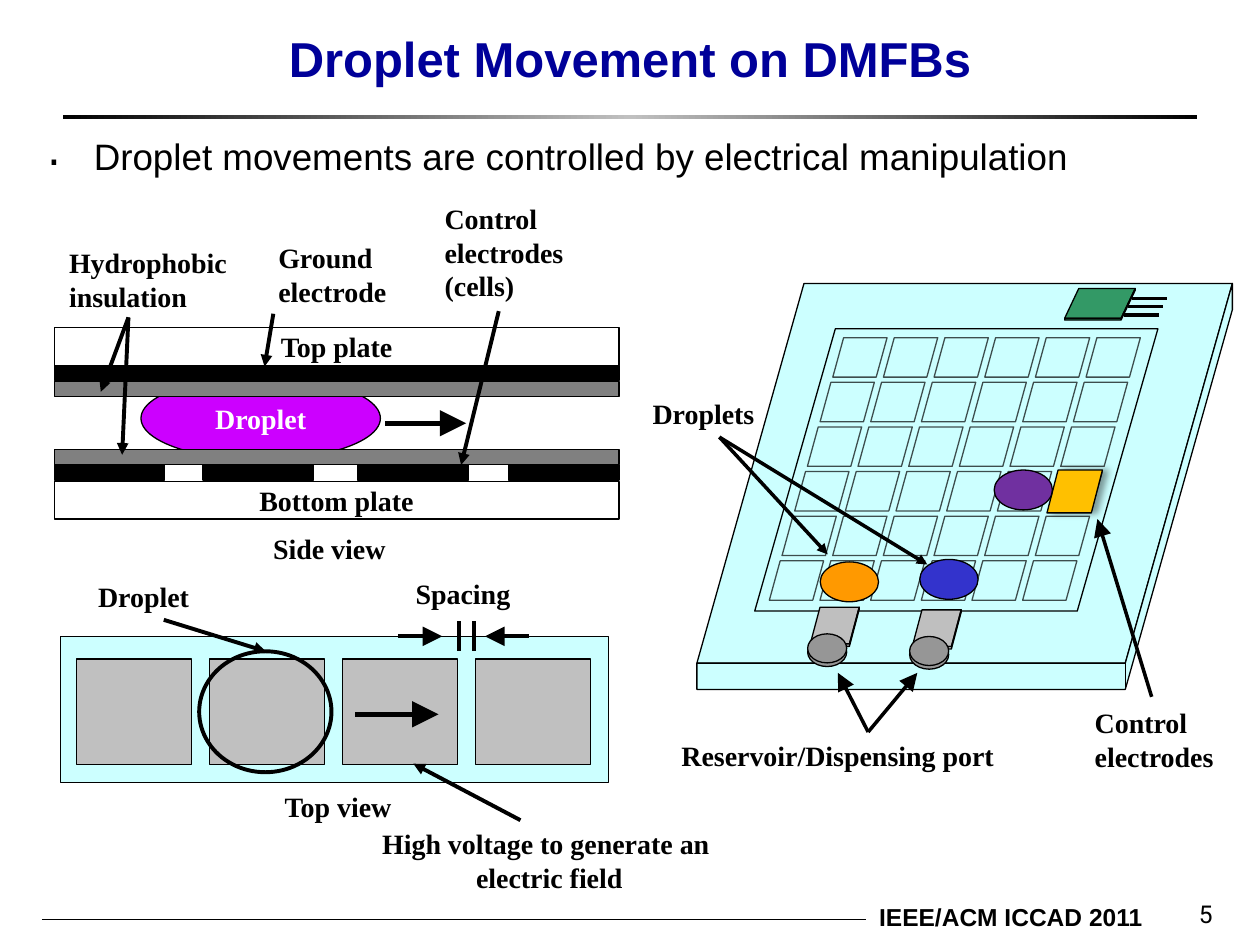
from copy import deepcopy

from lxml import etree
from pptx import Presentation
from pptx.dml.color import RGBColor
from pptx.enum.shapes import MSO_CONNECTOR, MSO_SHAPE as SHAPE
from pptx.enum.text import MSO_ANCHOR as ANCHOR, PP_ALIGN as ALIGN
from pptx.oxml import parse_xml
from pptx.oxml.ns import nsdecls, qn
from pptx.util import Pt

BLACK, WHITE, AQUA, SILVER, GRAY = "000000", "FFFFFF", "CCFFFF", "C0C0C0", "808080"
SLANTED = SHAPE.FLOWCHART_DATA


def color(hex_code):
    return RGBColor.from_string(hex_code)


def set_text(frame, text, size=16, font="Times New Roman", ink=BLACK, bold=True,
             align=ALIGN.LEFT, anchor=ANCHOR.TOP, wrap=True):
    frame.text = text
    frame.word_wrap = wrap
    frame.vertical_anchor = anchor
    for paragraph in frame.paragraphs:
        paragraph.alignment = align
        for run in paragraph.runs:
            run.font.size, run.font.name, run.font.bold = Pt(size), font, bold
            run.font.color.rgb = color(ink)


def add_label(slide, text, x, y, width, height=26.6, **style):
    label = slide.shapes.add_textbox(Pt(x), Pt(y), Pt(width), Pt(height))
    set_text(label.text_frame, text, **style)
    return label


def paint(shape, fill, line=0.75, alpha=None):
    shape.shadow.inherit = False
    if fill:
        shape.fill.solid()
        shape.fill.fore_color.rgb = color(fill)
    else:
        shape.fill.background()
    if alpha:
        srgb = shape._element.spPr.find(qn("a:solidFill"))[0]
        etree.SubElement(srgb, qn("a:alpha"), val=str(alpha * 1000))
    shape.line.color.rgb = color(BLACK)
    shape.line.width = Pt(line)


def add_part(slide, kind, x, y, width, height, fill=None, text=None, ink=BLACK, **look):
    part = slide.shapes.add_shape(kind, Pt(x), Pt(y), Pt(width), Pt(height))
    paint(part, fill, **look)
    if text:
        set_text(part.text_frame, text, ink=ink, align=ALIGN.CENTER,
                 anchor=ANCHOR.MIDDLE, wrap=False)
    return part


def add_line(slide, x1, y1, x2, y2, width=2.25, head=None):
    """Straight line; head is the size of an arrowhead at its end: med or lg."""
    line = slide.shapes.add_connector(MSO_CONNECTOR.STRAIGHT, Pt(x1), Pt(y1), Pt(x2), Pt(y2))
    line.line.color.rgb = color(BLACK)
    line.line.width = Pt(width)
    if head:
        etree.SubElement(line.line._get_or_add_ln(), qn("a:tailEnd"),
                         type="triangle", w=head, len=head)
    etree.SubElement(line._element.spPr, qn("a:effectLst"))


def add_slab(slide, x, y, width, height, depth, fill):
    """Slanted plate with a visible front and right edge."""
    add_part(slide, SLANTED, x, y, width, height, fill)
    corner = x + 0.8 * width
    base = y + height
    outline = [(x + width, y), (x + width, y + depth), (corner, base + depth),
               (x, base + depth), (x, base), (corner, base)]
    points = [(Pt(px), Pt(py)) for px, py in outline]
    builder = slide.shapes.build_freeform(*points[0])
    builder.add_line_segments(points[1:], close=True)
    paint(builder.convert_to_shape(), fill)
    add_line(slide, corner, base, corner, base + depth, 0.75)


def add_header(slide, x, y, width):
    title = slide.shapes.title
    title.left, title.top, title.width, title.height = Pt(x + 18), Pt(y), Pt(width - 36), Pt(66)
    set_text(title.text_frame, "Droplet Movement on DMFBs", 28, "Arial", "000099",
             align=ALIGN.CENTER, anchor=ANCHOR.MIDDLE)
    rule = add_part(slide, SHAPE.RECTANGLE, x, y + 66, width, 2.2)
    rule.line.fill.background()
    rule.fill.gradient()
    rule.fill.gradient_angle = 0
    stop_list = rule._element.spPr.find(qn("a:gradFill")).find(qn("a:gsLst"))
    stop_list.append(deepcopy(stop_list[-1]))
    for stop, position, shade in zip(rule.fill.gradient_stops, (0, 0.5, 1), (BLACK, SILVER, BLACK)):
        stop.position = position
        stop.color.rgb = color(shade)


def add_statement(slide, x, y, width, height):
    statement = add_label(slide, "Droplet movements are controlled by electrical manipulation",
                          x, y, width, height, size=21, font="Arial", bold=False)
    paragraph = statement.text_frame.paragraphs[0]
    paragraph.space_before = Pt(4.2)
    properties = paragraph._p.get_or_add_pPr()
    properties.set("marL", str(Pt(27)))
    properties.set("indent", str(-Pt(27)))
    bullet_color = etree.SubElement(properties, qn("a:buClr"))
    etree.SubElement(bullet_color, qn("a:srgbClr"), val=BLACK)
    etree.SubElement(properties, qn("a:buSzPct"), val="120000")
    etree.SubElement(properties, qn("a:buChar"), char="․")


def add_side_view(slide, x, y, width):
    layers = [(75.6, 21.6, None, "Top plate"), (97.2, 8.6, BLACK, None),
              (106.4, 8.6, GRAY, None), (145.4, 8.6, GRAY, None),
              (163.4, 21.6, None, "Bottom plate")]
    add_part(slide, SHAPE.OVAL, x + 49.6, y + 103.7, 136.8, 47.5, "CC00FF", "Droplet", WHITE)
    for top, height, fill, text in layers:
        add_part(slide, SHAPE.RECTANGLE, x, y + top, width, height, fill, text)
    for left in (0, 85, 173.5, 259.5):
        add_part(slide, SHAPE.RECTANGLE, x + left, y + 154.1, 63.2, 8.6, BLACK)
    for text, left, top, label_width, height in [
            ("Hydrophobic insulation", 1.4, 25.2, 134.6, 46),
            ("Ground \velectrode", 121, 22.3, 90.7, 46),
            ("Control \velectrodes (cells)", 216, 0, 105, 65.5),
            ("Side view", 118, 188.6, 113, 26.6)]:
        add_label(slide, text, x + left, y + top, label_width, height)
    for x1, y1, x2, y2 in [(125.2, 67.7, 120.2, 97.9), (254, 66.2, 232.5, 154.1),
                           (42.4, 69.8, 38.8, 148.3), (42.4, 69.8, 26.6, 112.3)]:
        add_line(slide, x + x1, y + y1, x + x2, y + y2, head="med")
    add_line(slide, x + 189.3, y + 130.3, x + 235.4, y + 130.3, 3, "lg")


def add_top_view(slide, x, y, width):
    plate_top = y + 37.4
    add_part(slide, SHAPE.RECTANGLE, x, plate_top, width, 83.5, AQUA)
    for column in range(4):
        add_part(slide, SHAPE.RECTANGLE, x + 9.3 + 76 * column, y + 50.4, 65.5, 60.5, SILVER)
    add_line(slide, x + 168.4, y + 82, x + 216, y + 82, 3, "lg")
    add_part(slide, SHAPE.OVAL, x + 79.2, y + 46, 75.6, 69.1, line=2.25)
    for edge, arrow_start, arrow_end in [(227.5, 192.9, 218.1), (236.1, 267.8, 242.6)]:
        add_line(slide, x + edge, y + 28.8, x + edge, y + 46)
        add_line(slide, x + arrow_start, plate_top, x + arrow_end, plate_top, head="lg")
    add_line(slide, x + 59, y + 28, x + 117.3, y + 46, head="med")
    add_line(slide, x + 262.8, y + 142.5, x + 201.6, y + 110.2, head="med")
    add_label(slide, "Droplet", x + 14.4, y + 1.4, 89)
    add_label(slide, "Spacing", x + 195.8, y, 106)
    add_label(slide, "Top view", x + 121, y + 121.6, 113)
    add_label(slide, "High voltage to generate an \velectric field",
              x + 155.5, y + 142.5, 247.7, 46, align=ALIGN.CENTER)


def add_biochip(slide, x, y):
    add_slab(slide, x + 32.4, y, 306, 217, 15, AQUA)
    for row in range(6):
        for column in range(6):
            add_part(slide, SLANTED, x + 110.1 + 28.95 * column - 7.25 * row,
                     y + 31 + 25.5 * row, 31, 22.5, AQUA, alpha=30)
    add_part(slide, SLANTED, x + 65.5, y + 25.9, 230.4, 161.3, AQUA, alpha=30)

    for left, top in [(95.7, 185), (154, 186.5)]:
        add_slab(slide, x + left + 1.5, y + top, 28, 21, 1.4, "BFBFBF")
        for drop in (17.3, 15.2):
            add_part(slide, SHAPE.OVAL, x + left, y + top + drop, 22.3, 16.6, "969696")

    add_slab(slide, x + 242.6, y + 2.9, 40.3, 17, 1, "339966")
    for lead in range(3):
        left, top = x + 280.8 - 2.2 * lead, y + 8.6 + 4.7 * lead
        add_line(slide, left, top, left + 20, top, 1.75)

    active_cell = add_part(slide, SLANTED, x + 232.5, y + 106.6, 31.7, 24.5, "FFC000")
    active_cell._element.spPr.find(qn("a:effectLst")).append(parse_xml(
        f'<a:outerShdw {nsdecls("a")} blurRad="{Pt(4)}" dist="{Pt(3)}" dir="0">'
        '<a:srgbClr val="000000"><a:alpha val="40000"/></a:srgbClr></a:outerShdw>'))
    for left, top, fill in [(102.9, 159.1, "FF9900"), (159.8, 157.7, "3333CC"),
                            (202.3, 106.6, "7030A0")]:
        add_part(slide, SHAPE.OVAL, x + left, y + top, 33.3, 22.8, fill)

    for x1, y1, x2, y2, head in [
            (45.3, 87.8, 164.1, 160.6, "med"), (45.3, 87.8, 107.2, 154.8, "med"),
            (130.3, 256.3, 113, 222.5, "lg"), (130.3, 256.3, 158.4, 222.5, "lg"),
            (292.3, 236.2, 261.3, 134.6, "lg")]:
        add_line(slide, x + x1, y + y1, x + x2, y + y2, 2, head)
    add_label(slide, "Droplets", x, y + 61.2, 90)
    add_label(slide, "Reservoir/Dispensing port", x + 16.5, y + 256.3, 208)
    add_label(slide, "Control electrodes", x + 252.7, y + 237.6, 100, 46)


def add_footer(slide, x, y):
    add_line(slide, x, y + 27.6, x + 470.6, y + 27.6, 0.5)
    add_label(slide, "IEEE/ACM ICCAD 2011", x + 330, y + 14, 306, 24.5,
              size=14, font="Arial", align=ALIGN.RIGHT)
    add_label(slide, "5", x + 526, y, 150, 36, size=14, font="Roboto", bold=False,
              align=ALIGN.RIGHT, anchor=ANCHOR.BOTTOM)


def main():
    deck = Presentation()
    deck.slide_width, deck.slide_height = Pt(720), Pt(540)
    slide = deck.slides.add_slide(deck.slide_layouts[5])
    add_header(slide, 36, 0, 648)
    add_statement(slide, 19.5, 72.7, 680, 36)
    add_side_view(slide, 31, 111.6, 322.7)
    add_top_view(slide, 34.6, 326.2, 313.2)
    add_biochip(slide, 365.8, 162)
    add_footer(slide, 24, 498)
    deck.save("out.pptx")


if __name__ == "__main__":
    main()
